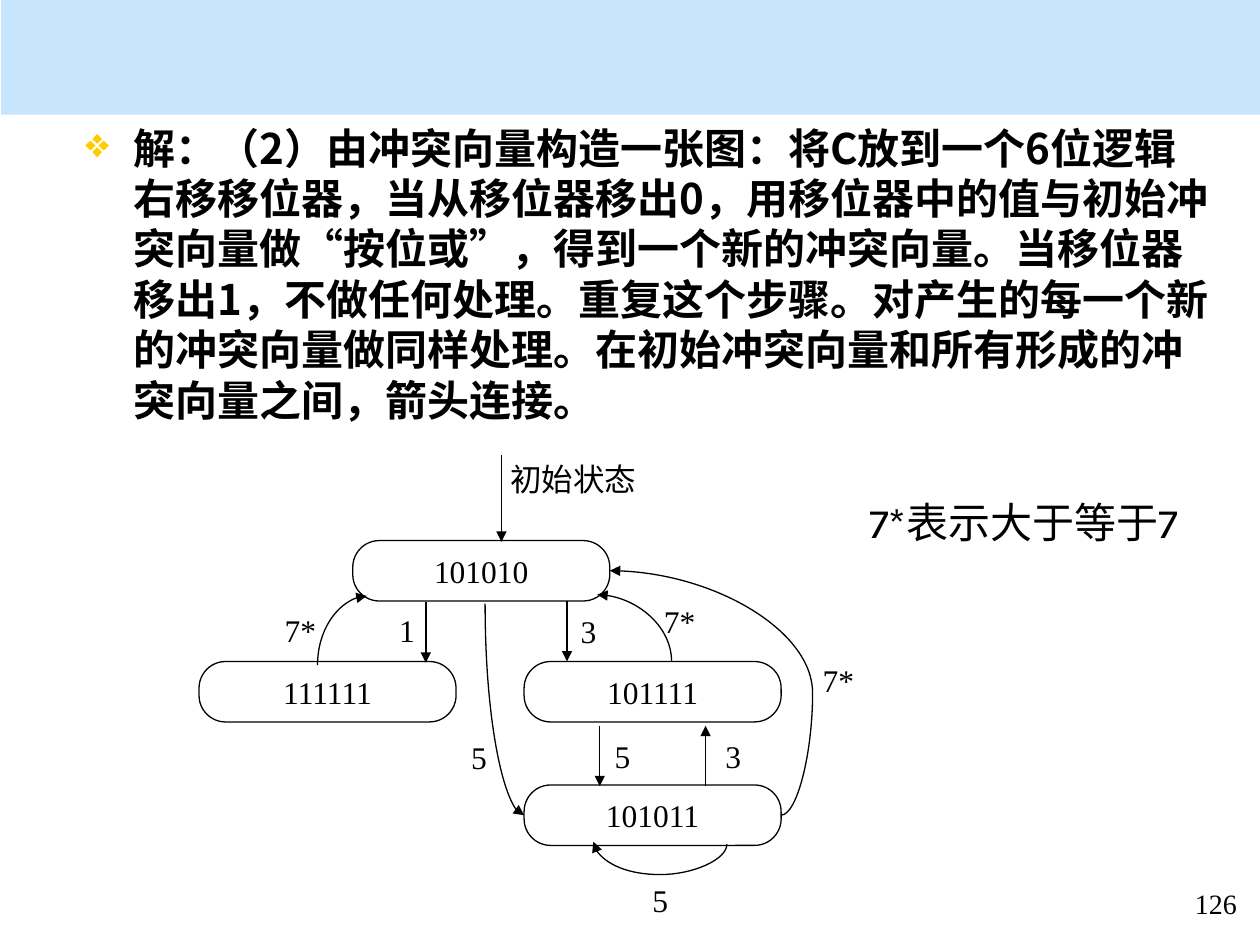
from lxml.etree import SubElement
from pptx import Presentation
from pptx.dml.color import RGBColor
from pptx.enum.shapes import MSO_CONNECTOR, MSO_SHAPE
from pptx.enum.text import MSO_ANCHOR, MSO_AUTO_SIZE, PP_ALIGN
from pptx.oxml.ns import qn
from pptx.util import Emu, Pt

SCALE = 9144  # one px is a hundredth of an inch
BLACK = RGBColor(0x00, 0x00, 0x00)
SKY = RGBColor(0xC7, 0xE6, 0xFD)
GOLD = RGBColor(0xFF, 0xCC, 0x00)

HAN_FONT = "Noto Sans CJK SC"
BODY = {"name": HAN_FONT, "size": Pt(24), "bold": True}
NOTE = {"name": "Karla", "size": Pt(24)}
LABEL = {"name": "Times New Roman", "size": Pt(18)}
NUMBER = {"name": "Times New Roman", "size": Pt(16)}

EXPLANATION = (
    "解：（2）由冲突向量构造一张图：将C放到一个6位逻辑右移移位器，"
    "当从移位器移出0，用移位器中的值与初始冲突向量做“按位或”，"
    "得到一个新的冲突向量。当移位器移出1，不做任何处理。重复这个步骤。"
    "对产生的每一个新的冲突向量做同样处理。"
    "在初始冲突向量和所有形成的冲突向量之间，箭头连接。"
)

NODE_SIZE = (204, 48)
# Positions in the diagram are relative to its top left corner
NODES = [("101010", 122, 69), ("111111", 0, 165),
         ("101111", 258, 165), ("101011", 258, 263)]
LABELS = [("初始状态", 237, 0, 121), ("1", 149, 120, 33), ("3", 293, 121, 33),
          ("5", 206, 221, 33), ("5", 320, 220, 33), ("3", 408, 220, 33),
          ("5", 350, 334, 33), ("7*", 58, 120, 45), ("7*", 359, 113, 45),
          ("7*", 485, 160, 45)]
# Straight arrows: start x, start y, end x, end y
ARROWS = [(240, 1, 240, 70), (180, 118, 180, 166), (292, 117, 292, 165),
          (318, 216, 318, 264), (402, 264, 402, 216)]
# Curves: frame, turn in degrees, flips, preset, bend, arrowhead
CURVES = [
    ((227, 119, 31, 168), 180, "", "curvedConnector2", None, "headEnd"),
    ((319, 109, 53, 59), 270, "V", "curvedConnector2", None, "tailEnd"),
    ((86, 121, 55, 39), 90, "HV", "curvedConnector2", None, "tailEnd"),
    ((326, 93, 136, 194), 0, "HV", "curvedConnector3", -18400, "tailEnd"),
    ((365, 256, 2, 106), 90, "H", "curvedConnector3", -1200000, "tailEnd"),
]


def px(*lengths):
    return [Emu(length * SCALE) for length in lengths]


def write(para, text, style):
    span = para.add_run()
    span.text = text
    for key, value in style.items():
        setattr(span.font, key, value)
    span.font.color.rgb = BLACK
    SubElement(span.font._element, qn("a:ea"), typeface=HAN_FONT)


def add_text(page, frame, text, style, wrap=True, align=PP_ALIGN.LEFT, grow=False):
    box = page.shapes.add_textbox(*px(*frame))
    box.text_frame.word_wrap = wrap
    box.text_frame.auto_size = (
        MSO_AUTO_SIZE.SHAPE_TO_FIT_TEXT if grow else MSO_AUTO_SIZE.NONE)
    para = box.text_frame.paragraphs[0]
    para.alignment = align
    write(para, text, style)
    return para


def add_band(page, frame):
    band = page.shapes.add_shape(MSO_SHAPE.RECTANGLE, *px(*frame))
    band.shadow.inherit = False
    band.fill.solid()
    band.fill.fore_color.rgb = SKY
    band.line.fill.background()


def add_explanation(page, frame):
    para = add_text(page, frame, EXPLANATION, BODY)
    para.line_spacing = Pt(28.8)
    properties = para._p.get_or_add_pPr()
    indent = 38 * SCALE
    properties.set("marL", str(indent))
    properties.set("indent", str(-indent))
    bullet_color = SubElement(properties, qn("a:buClr"))
    SubElement(bullet_color, qn("a:srgbClr"), val=str(GOLD))
    SubElement(properties, qn("a:buChar"), char="❖")


def add_node(page, frame, text):
    node = page.shapes.add_shape(MSO_SHAPE.ROUNDED_RECTANGLE, *px(*frame))
    node.adjustments[0] = 0.44
    node.shadow.inherit = False
    node.fill.background()
    node.line.color.rgb = BLACK
    node.line.width = Pt(0.75)
    node.text_frame.word_wrap = False
    node.text_frame.vertical_anchor = MSO_ANCHOR.MIDDLE
    para = node.text_frame.paragraphs[0]
    para.alignment = PP_ALIGN.CENTER
    write(para, text, LABEL)


def add_arrow(page, kind, ends, arrowhead="tailEnd"):
    arrow = page.shapes.add_connector(kind, *px(*ends))
    arrow.line.color.rgb = BLACK
    arrow.line.width = Pt(0.75)
    SubElement(arrow.line._get_or_add_ln(), qn(f"a:{arrowhead}"), type="triangle")
    SubElement(arrow._element.spPr, qn("a:effectLst"))
    return arrow


def add_curve(page, frame, turn, flips, preset, bend, arrowhead):
    left, top, width, height = frame
    curve = add_arrow(page, MSO_CONNECTOR.CURVE,
                      (left, top, left + width, top + height), arrowhead)
    properties = curve._element.spPr
    transform = properties.find(qn("a:xfrm"))
    transform.set("rot", str(turn * 60000))
    for axis in flips:
        transform.set(f"flip{axis}", "1")
    geometry = properties.find(qn("a:prstGeom"))
    geometry.set("prst", preset)
    if bend is not None:
        guides = geometry.find(qn("a:avLst"))
        if guides is None:
            guides = SubElement(geometry, qn("a:avLst"))
        SubElement(guides, qn("a:gd"), name="adj1", fmla=f"val {bend}")


def add_state_diagram(page, left, top):
    # States
    for text, x, y in NODES:
        add_node(page, (left + x, top + y, *NODE_SIZE), text)
    # Transitions
    for x1, y1, x2, y2 in ARROWS:
        add_arrow(page, MSO_CONNECTOR.STRAIGHT,
                  (left + x1, top + y1, left + x2, top + y2))
    for (x, y, width, height), *shape in CURVES:
        add_curve(page, (left + x, top + y, width, height), *shape)
    # Transition labels
    for text, x, y, width in LABELS:
        add_text(page, (left + x, top + y, width, 40), text, LABEL,
                 wrap=False, grow=True)


def main():
    deck = Presentation()
    deck.slide_width, deck.slide_height = px(1000, 750)
    page = deck.slides.add_slide(deck.slide_layouts[6])
    add_band(page, (1, 0, 999, 91))
    add_text(page, (930, 699, 70, 33), "126", NUMBER, align=PP_ALIGN.CENTER)
    add_explanation(page, (58, 92, 912, 259))
    add_text(page, (680, 389, 291, 50), "7*表示大于等于7", NOTE, grow=True)
    add_state_diagram(page, 158, 360)
    deck.save("out.pptx")


if __name__ == "__main__":
    main()
